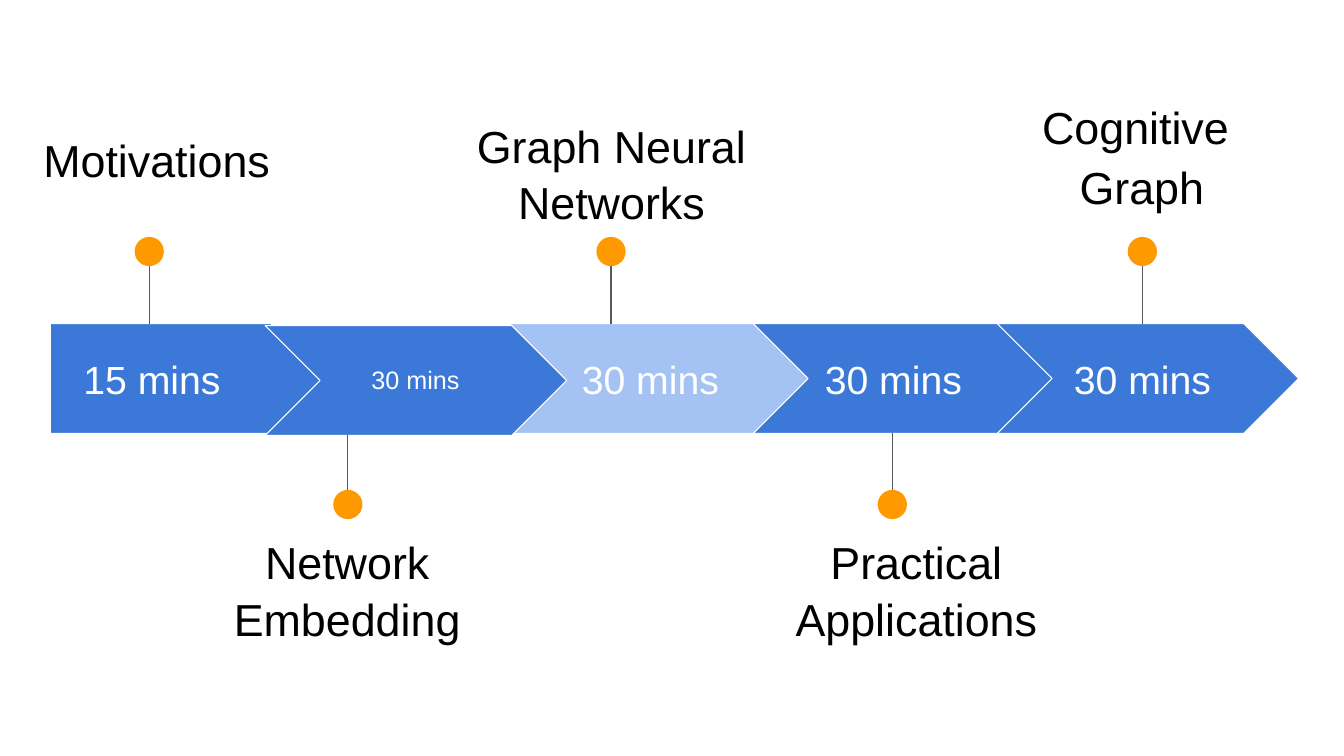
import pptx
import pptx.util
import pptx.dml.color
import pptx.enum.shapes
import pptx.enum.text
import pptx.oxml.ns
import lxml.etree

Inches, Pt = pptx.util.Inches, pptx.util.Pt
SHAPE = pptx.enum.shapes.MSO_SHAPE
ANCHOR = pptx.enum.text.MSO_ANCHOR

COLOURS = {"bar": "3C78D8", "current": "A4C2F4", "dot": "FF9900",
           "stem": "595959", "white": "FFFFFF", "black": "000000"}

# Each session: duration box (left, top, width, size), marker centre and side,
# title paragraphs and title box (left, top, width)
SESSIONS = [
    {"duration": "15 mins ", "duration_at": (0.5, 3.41, 2.12, 28), "marker": 1.48,
     "above": True, "title": ["Motivations"], "title_at": (-0.08, 1.16, 3.27)},
    {"duration": "30 mins", "duration_at": (3.16, 3.42, 1.92, 18), "marker": 3.45,
     "above": False, "title": ["Network Embedding"], "title_at": (1.81, 5.15, 3.27)},
    {"duration": "30 mins", "duration_at": (5.49, 3.41, 1.92, 28), "marker": 6.06,
     "above": True, "title": ["Graph Neural Networks"], "title_at": (3.84, 1.02, 4.45)},
    {"duration": "30 mins", "duration_at": (7.9, 3.41, 1.92, 28), "marker": 8.85,
     "above": False, "title": ["Practical Applications"], "title_at": (6.89, 5.15, 4.4)},
    {"duration": "30 mins", "duration_at": (10.37, 3.41, 1.92, 28), "marker": 11.33,
     "above": True, "title": ["Cognitive ", "Graph"], "title_at": (9.69, 0.83, 3.27)},
]
CURRENT = 2
STACKING = [2, 0, 1, 3, 4]  # the current session lies behind its neighbours

FIRST_LEFT, FIRST_WIDTH = 0.5, 2.73
CHEVRON_LEFT, CHEVRON_WIDTH, PITCH = 2.63, 2.99, 2.42
BAR_TOP, BAR_HEIGHT, SECOND_DROP = 3.21, 1.09, 0.02
DOT, DOT_TOP_ABOVE, DOT_TOP_BELOW = 0.29, 2.35, 4.86

deck = pptx.Presentation()
deck.slide_width, deck.slide_height = Inches(13.33), Inches(7.5)
slide = deck.slides.add_slide(deck.slide_layouts[6])


def colour(name):
    return pptx.dml.color.RGBColor.from_string(COLOURS[name])


def add_block(preset, box, fill, line=None):
    block = slide.shapes.add_shape(preset, *map(Inches, box))
    block.shadow.inherit = False
    block.fill.solid()
    block.fill.fore_color.rgb = colour(fill)
    if line:
        block.line.color.rgb = colour(line)
        block.line.width = Pt(0.75)
    else:
        block.line.fill.background()


def add_text(box, paragraphs, size, tint, anchor, spacing):
    frame = slide.shapes.add_textbox(*map(Inches, box)).text_frame
    margins = dict.fromkeys(["margin_left", "margin_top", "margin_right", "margin_bottom"],
                            Inches(0.13))
    for name, value in {"word_wrap": True, "vertical_anchor": anchor, **margins}.items():
        setattr(frame, name, value)
    for number, words in enumerate(paragraphs):
        paragraph = frame.add_paragraph() if number else frame.paragraphs[0]
        paragraph.text = words
        for name, value in {"alignment": pptx.enum.text.PP_ALIGN.CENTER, **spacing}.items():
            setattr(paragraph, name, value)
        for name, value in {"name": "Arial", "size": Pt(size)}.items():
            setattr(paragraph.font, name, value)
        paragraph.font.color.rgb = colour(tint)


def bar_top(number):
    return BAR_TOP + (SECOND_DROP if number == 1 else 0)


# Timeline bar
for number in STACKING:
    if number == 0:
        preset, left, width = SHAPE.PENTAGON, FIRST_LEFT, FIRST_WIDTH
    else:
        preset, width = SHAPE.CHEVRON, CHEVRON_WIDTH
        left = CHEVRON_LEFT + (number - 1) * PITCH
    add_block(preset, (left, bar_top(number), width, BAR_HEIGHT),
              "current" if number == CURRENT else "bar", "white")

for number, session in enumerate(SESSIONS):
    # Stem and dot
    centre = session["marker"]
    if session["above"]:
        dot_top, stem_start, stem_end = DOT_TOP_ABOVE, DOT_TOP_ABOVE + DOT, bar_top(number)
    else:
        dot_top, stem_start, stem_end = DOT_TOP_BELOW, DOT_TOP_BELOW, bar_top(number) + BAR_HEIGHT
    stem = slide.shapes.add_connector(
        pptx.enum.shapes.MSO_CONNECTOR.STRAIGHT,
        *map(Inches, (centre, stem_start, centre, stem_end)))
    stem.line.color.rgb = colour("stem")
    stem.line.width = Pt(0.75)
    lxml.etree.SubElement(stem._element.spPr, pptx.oxml.ns.qn("a:effectLst"))
    add_block(SHAPE.OVAL, (centre - DOT / 2, dot_top, DOT, DOT), "dot")

    # Duration and title
    left, top, width, size = session["duration_at"]
    add_text((left, top, width, 0.69), [session["duration"]], size, "white",
             ANCHOR.MIDDLE, {})
    left, top, width = session["title_at"]
    add_text((left, top, width, 1.32), session["title"], 32, "black", ANCHOR.TOP,
             {"line_spacing": 1.05, "space_after": Pt(2.7)})

deck.save("out.pptx")
